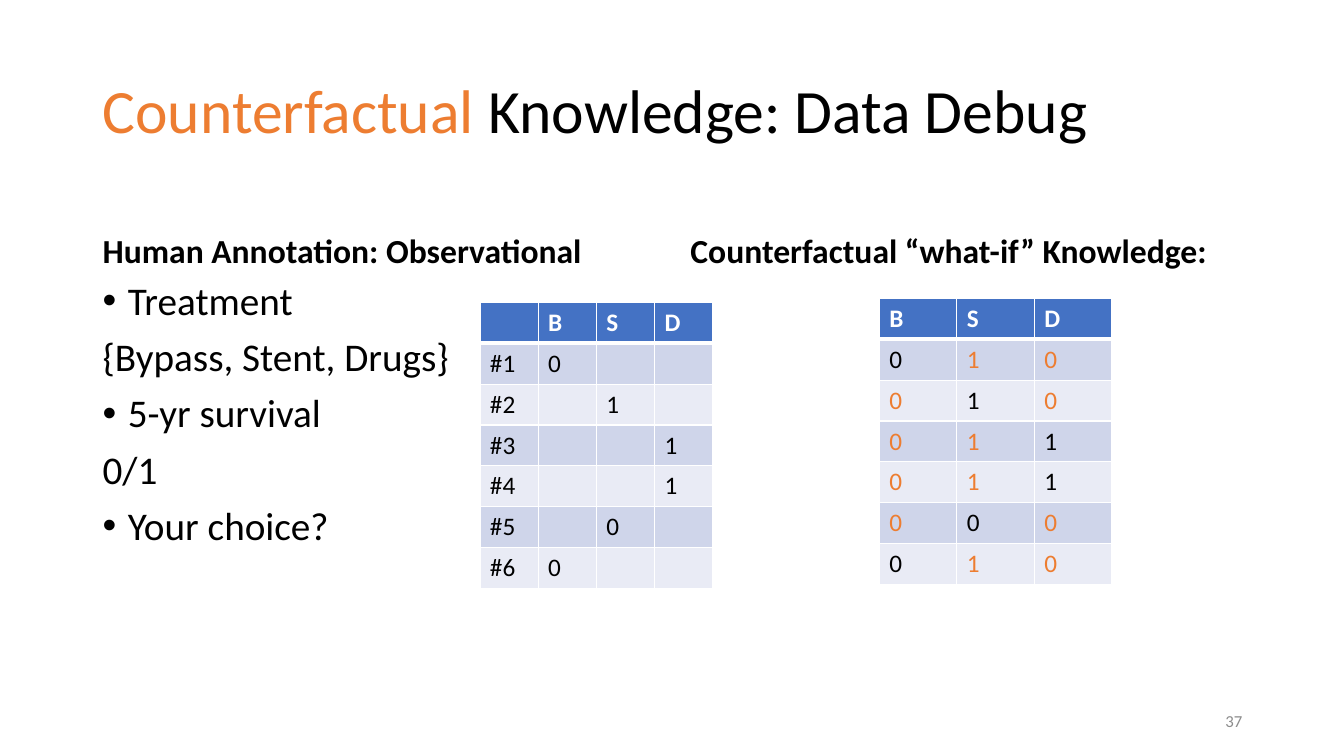
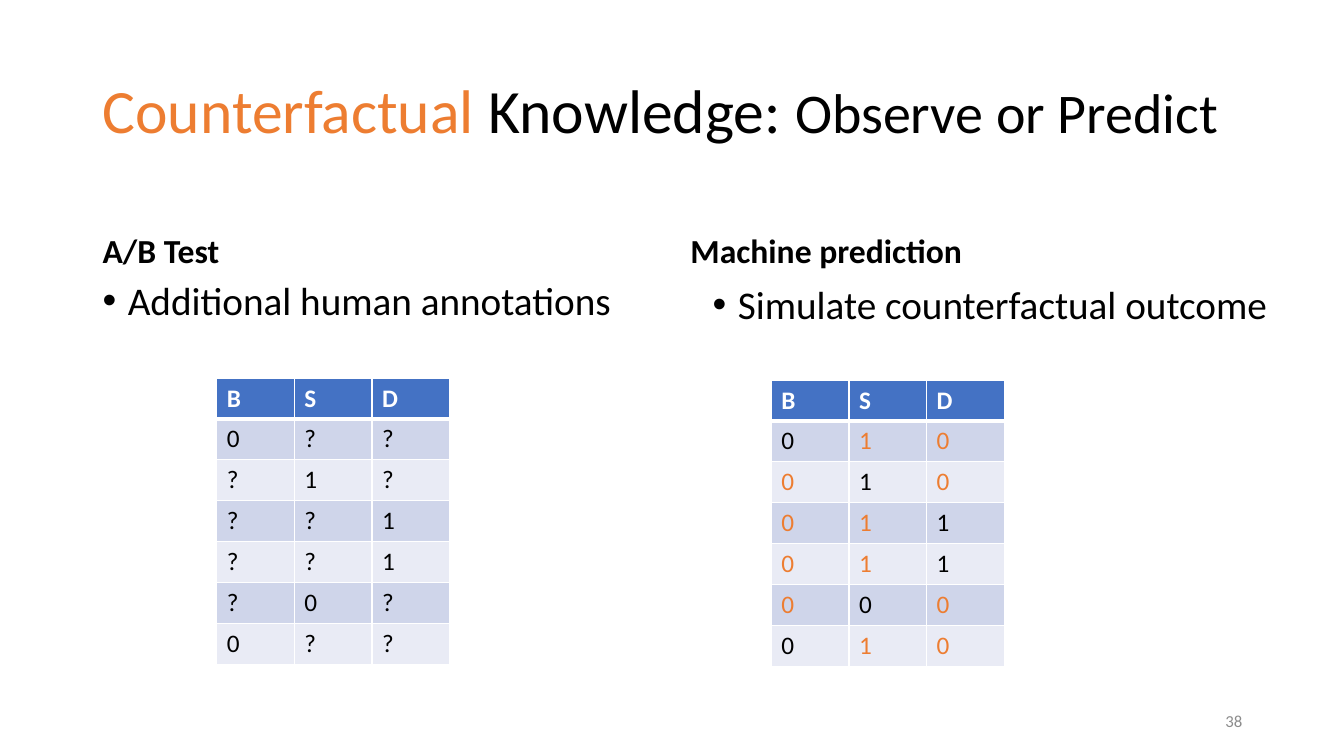
from lxml.etree import SubElement
from pptx import Presentation
from pptx.dml.color import RGBColor
from pptx.enum.text import MSO_ANCHOR, PP_ALIGN
from pptx.oxml.ns import qn
from pptx.util import Pt

SCALE = 9144
FONT = "Calibri"
BLACK, WHITE, GREY = "000000", "FFFFFF", "8C8C8C"
ORANGE, BLUE = "ED7D31", "4472C4"
BANDS = ("CFD5EA", "E9EBF5")
HEADS = ("B", "S", "D")
SEEN = ((0, "0"), (1, "1"), (2, "1"), (2, "1"), (1, "0"), (0, "0"))
GUESS = ("0", "1", "0")
TITLE = (92, 40, 1150, 145)
LEFT = (92, 184, 564, 90)
RIGHT = (675, 184, 567, 90)
BODY = (92, 274, 564, 403)
NUMBER = (942, 695, 300, 40)


def px(n):
    """Turn px into EMU."""
    return n * SCALE


def color(code):
    """Turn a hex string into a colour."""
    return RGBColor.from_string(code)


def style(font, size, code, bold=False):
    """Set the look of a font."""
    font.name = FONT
    font.size = Pt(size)
    font.bold = bold
    font.color.rgb = color(code)


def frame(slide, box, anchor):
    """Add a wrapping text box and return its text frame."""
    text = slide.shapes.add_textbox(*map(px, box)).text_frame
    text.word_wrap = True
    text.vertical_anchor = anchor
    return text


def title(slide, box, parts):
    """Write a title from (text, size, colour) parts."""
    para = frame(slide, box, MSO_ANCHOR.MIDDLE).paragraphs[0]
    para.line_spacing = 0.9
    for words, size, code in parts:
        run = para.add_run()
        run.text = words
        style(run.font, size, code)


def heading(slide, box, words):
    """Write a bold heading on the bottom edge of its box."""
    para = frame(slide, box, MSO_ANCHOR.BOTTOM).paragraphs[0]
    para.text = words
    para.line_spacing = 0.9
    style(para.runs[0].font, 24, BLACK, True)


def bullet(para):
    """Give a paragraph a hanging bullet."""
    props = para._p.get_or_add_pPr()
    props.set("marL", str(px(25)))
    props.set("indent", str(px(-25)))
    SubElement(props, qn("a:buFont"), typeface="Arial")
    SubElement(props, qn("a:buChar"), char="•")


def body(slide, box, items):
    """Write (text, bulleted) items one below another."""
    text = frame(slide, box, MSO_ANCHOR.TOP)
    text.text = "\n".join(words for words, _ in items)
    for i, (para, (_, dot)) in enumerate(zip(text.paragraphs, items)):
        if dot:
            bullet(para)
        para.line_spacing = 0.9
        if i:
            para.space_before = Pt(10)
        style(para.runs[0].font, 28, BLACK)


def number(slide, box, words):
    """Write the slide number at the right."""
    para = frame(slide, box, MSO_ANCHOR.MIDDLE).paragraphs[0]
    para.text = words
    para.alignment = PP_ALIGN.RIGHT
    style(para.runs[0].font, 12, GREY)


def border(cell, top, base):
    """Draw white cell edges, with the top and bottom widths given."""
    props = cell._tc.get_or_add_tcPr()
    for side, width in zip("LRTB", (1, 1, top, base)):
        line = SubElement(props, qn("a:ln" + side), w=str(Pt(width)))
        fill = SubElement(line, qn("a:solidFill"))
        SubElement(fill, qn("a:srgbClr"), val=WHITE)


def grid(slide, box, rows):
    """Draw a banded table from rows of (text, colour) cells."""
    left, top, width, height = box
    count = len(rows[0])
    shape = slide.shapes.add_table(len(rows), count, *map(px, box))
    table = shape.table
    for col in table.columns:
        col.width = px(width) // count
    for r, row in enumerate(rows):
        table.rows[r].height = px(height) // len(rows)
        for c, (words, code) in enumerate(row):
            cell = table.cell(r, c)
            border(cell, 3 if r == 1 else 1, 1 if r else 3)
            cell.fill.solid()
            cell.fill.fore_color.rgb = color(BANDS[(r - 1) % 2] if r else BLUE)
            para = cell.text_frame.paragraphs[0]
            para.text = words
            style(para.font, 18, code, r == 0)
            for run in para.runs:
                style(run.font, 18, code, r == 0)


def outcomes(slide, spot, others, code=BLACK, names=False):
    """Tabulate the seen outcomes, with the others filled in."""
    rows = [[(head, WHITE) for head in HEADS]]
    for col, value in SEEN:
        rows.append([(value, BLACK) if c == col else (other, code)
                     for c, other in enumerate(others)])
    if names:
        for i, row in enumerate(rows):
            row.insert(0, (f"#{i}" if i else "", BLACK))
    grid(slide, (*spot, 231, 284), rows)


def page(deck, num, topic, size, left, right):
    """Start a slide with its title, two headings and number."""
    slide = deck.slides.add_slide(deck.slide_layouts[6])
    title(slide, TITLE, [("Counterfactual", 44, ORANGE),
                         (" Knowledge: ", 44, BLACK), (topic, size, BLACK)])
    heading(slide, LEFT, left)
    heading(slide, RIGHT, right)
    number(slide, NUMBER, num)
    return slide


def debug(deck):
    """Build the slide on data debugging."""
    slide = page(deck, "37", "Data Debug", 44, "Human Annotation: Observational",
                 "Counterfactual “what-if” Knowledge:")
    body(slide, BODY, [("Treatment", True), ("{Bypass, Stent, Drugs}", False),
                       ("5-yr survival", True), ("0/1", False),
                       ("Your choice?", True)])
    outcomes(slide, (476, 300), ("", "", ""), names=True)
    outcomes(slide, (872, 296), GUESS, ORANGE)


def predict(deck):
    """Build the slide on observing or predicting."""
    slide = page(deck, "38", "Observe or Predict", 40, "A/B Test",
                 "Machine prediction")
    body(slide, BODY, [("Additional human annotations", True)])
    body(slide, (697, 278, 636, 403), [("Simulate counterfactual outcome", True)])
    outcomes(slide, (215, 375), ("?", "?", "?"))
    outcomes(slide, (765, 377), GUESS, ORANGE)


def main():
    """Build and save the deck."""
    deck = Presentation()
    deck.slide_width, deck.slide_height = px(1333), px(750)
    debug(deck)
    predict(deck)
    deck.save("out.pptx")


if __name__ == "__main__":
    main()
